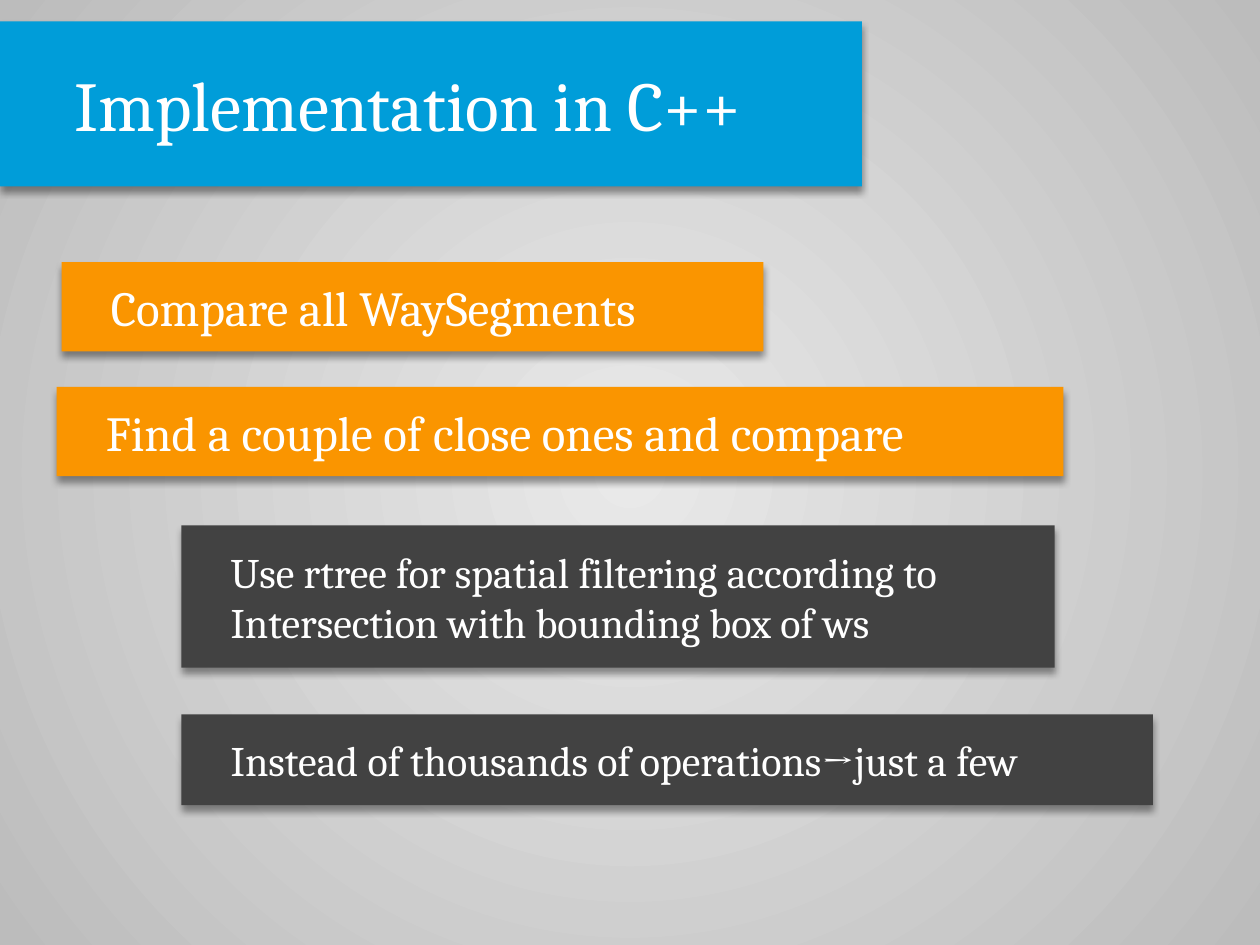
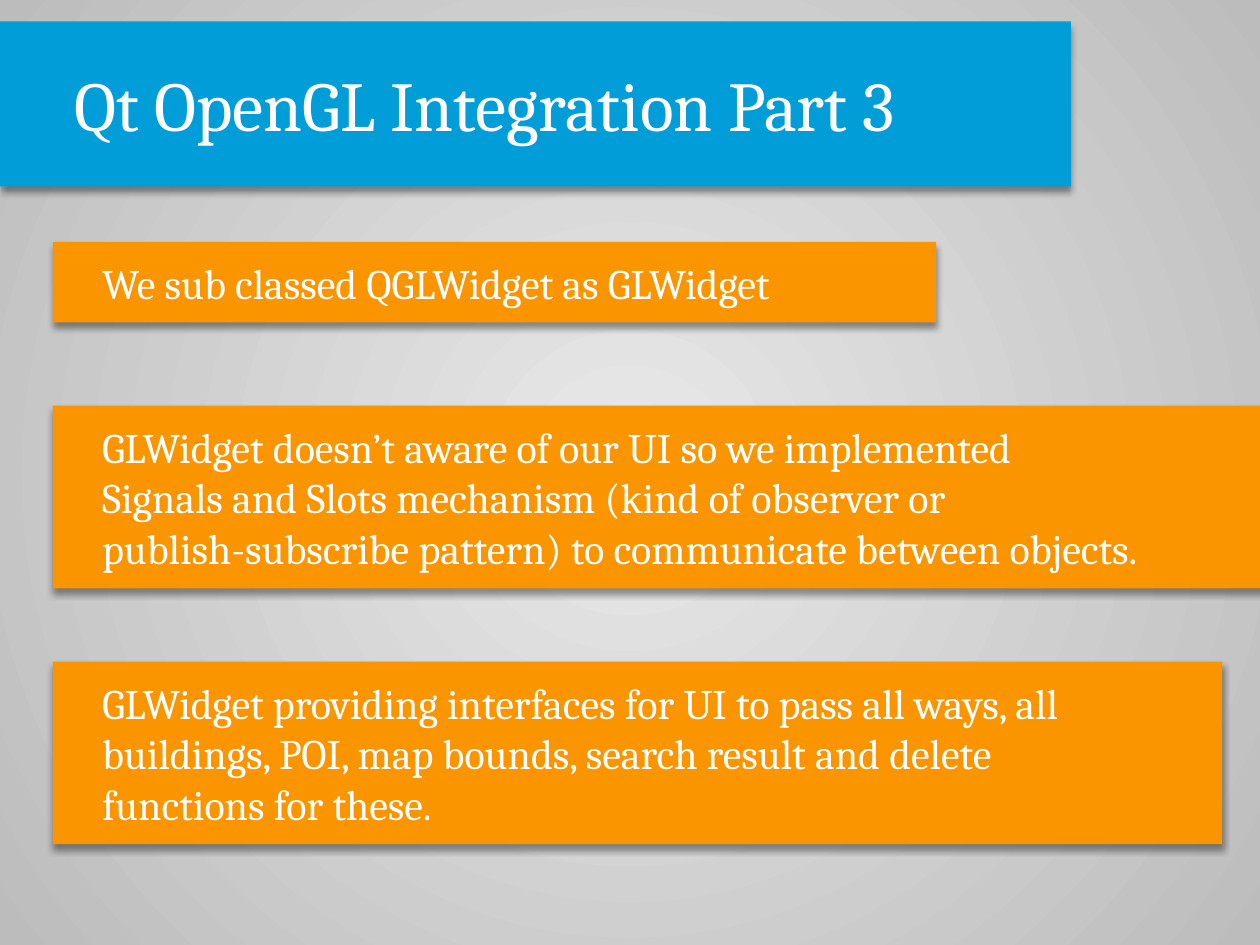
"""Build two slides of text bars on a grey radial background."""
from lxml.etree import fromstring
from pptx import Presentation
from pptx.dml.color import RGBColor
from pptx.enum.shapes import MSO_SHAPE
from pptx.enum.text import MSO_ANCHOR, MSO_AUTO_SIZE, PP_ALIGN
from pptx.oxml.ns import nsdecls, qn
from pptx.util import Inches, Pt

COLORS = {"title": "009DD9", "point": "FA9500", "detail": "424242", "text": "FFFFFF",
          "center": "E9E9E9", "edge": "BCBCBC", "shadow": "000000"}
FONT = "Cambria"
TITLE_TOP, TITLE_HEIGHT, TITLE_SIZE = 0.17, 1.31, 40
INSETS = {"title": (0.59, 0.31), "point": (0.39, 0.12), "detail": (0.39, 0.16)}

SLIDES = [
    {"title": "Implementation in C++", "title_width": 6.84, "bars": [
        ("point", 28, (0.49, 2.08, 5.57, 0.71), "Compare all WaySegments"),
        ("point", 28, (0.45, 3.07, 7.99, 0.71), "Find a couple of close ones and compare"),
        ("detail", 24, (1.44, 4.17, 6.93, 1.13),
         "Use rtree for spatial filtering according to\n"
         "Intersection with bounding box of ws"),
        ("detail", 24, (1.44, 5.67, 7.71, 0.72),
         "Instead of thousands of operations→just a few"),
    ]},
    {"title": "Qt OpenGL Integration Part 3", "title_width": 8.5, "bars": [
        ("point", 24, (0.42, 1.92, 7.01, 0.64), "We sub classed QGLWidget as GLWidget"),
        ("point", 24, (0.42, 3.22, 9.76, 1.45),
         "GLWidget doesn’t aware of our UI so we implemented \v"
         "Signals and Slots mechanism (kind of observer or \v"
         "publish-subscribe pattern) to communicate between objects."),
        ("point", 24, (0.42, 5.25, 9.28, 1.45),
         "GLWidget providing interfaces for UI to pass all ways, all \v"
         "buildings, POI, map bounds, search result and delete \v"
         "functions for these."),
    ]},
]


def set_background(master):
    master.background.fill.gradient()
    grad = master.element.find(".//" + qn("p:bgPr")).find(qn("a:gradFill"))
    stops = "".join(f'<a:gs pos="{pos}"><a:srgbClr val="{COLORS[name]}"/></a:gs>'
                    for pos, name in ((0, "center"), (100000, "edge")))
    grad.getparent().replace(grad, fromstring(
        f'<a:gradFill {nsdecls("a")} rotWithShape="1"><a:gsLst>{stops}</a:gsLst>'
        '<a:path path="circle"><a:fillToRect l="50000" t="50000" r="50000" b="50000"/>'
        '</a:path></a:gradFill>'))


def add_shadow(sp):
    sp.shadow.inherit = False
    sp.element.spPr.find(qn("a:effectLst")).append(fromstring(
        f'<a:outerShdw {nsdecls("a")} blurRad="{Pt(4)}" dist="{Pt(3)}" dir="5400000" '
        f'algn="t" rotWithShape="0"><a:srgbClr val="{COLORS["shadow"]}">'
        '<a:alpha val="40000"/></a:srgbClr></a:outerShdw>'))


def format_bar(sp, kind, size, text):
    sp.fill.solid()
    sp.fill.fore_color.rgb = RGBColor.from_string(COLORS[kind])
    sp.line.fill.background()
    add_shadow(sp)
    tf = sp.text_frame
    tf.text = text
    side, end = (Inches(v) for v in INSETS[kind])
    frame = {"margin_left": side, "margin_right": side, "margin_top": end,
             "margin_bottom": end, "word_wrap": True,
             "auto_size": MSO_AUTO_SIZE.NONE, "vertical_anchor": MSO_ANCHOR.MIDDLE}
    for name, value in frame.items():
        setattr(tf, name, value)
    for p in tf.paragraphs:
        p.alignment = PP_ALIGN.LEFT
        p.font.name, p.font.size = FONT, Pt(size)
        p.font.color.rgb = RGBColor.from_string(COLORS["text"])


def add_slide(prs, content):
    s = prs.slides.add_slide(prs.slide_layouts[5])
    title = s.shapes.title
    box = {"left": 0, "top": TITLE_TOP, "width": content["title_width"],
           "height": TITLE_HEIGHT}
    for name, value in box.items():
        setattr(title, name, Inches(value))
    format_bar(title, "title", TITLE_SIZE, content["title"])
    for kind, size, place, text in content["bars"]:
        sp = s.shapes.add_shape(MSO_SHAPE.RECTANGLE, *map(Inches, place))
        format_bar(sp, kind, size, text)


def main():
    prs = Presentation()
    prs.slide_width, prs.slide_height = Inches(10), Inches(7.5)
    set_background(prs.slide_master)
    for content in SLIDES:
        add_slide(prs, content)
    prs.save("out.pptx")


if __name__ == "__main__":
    main()
